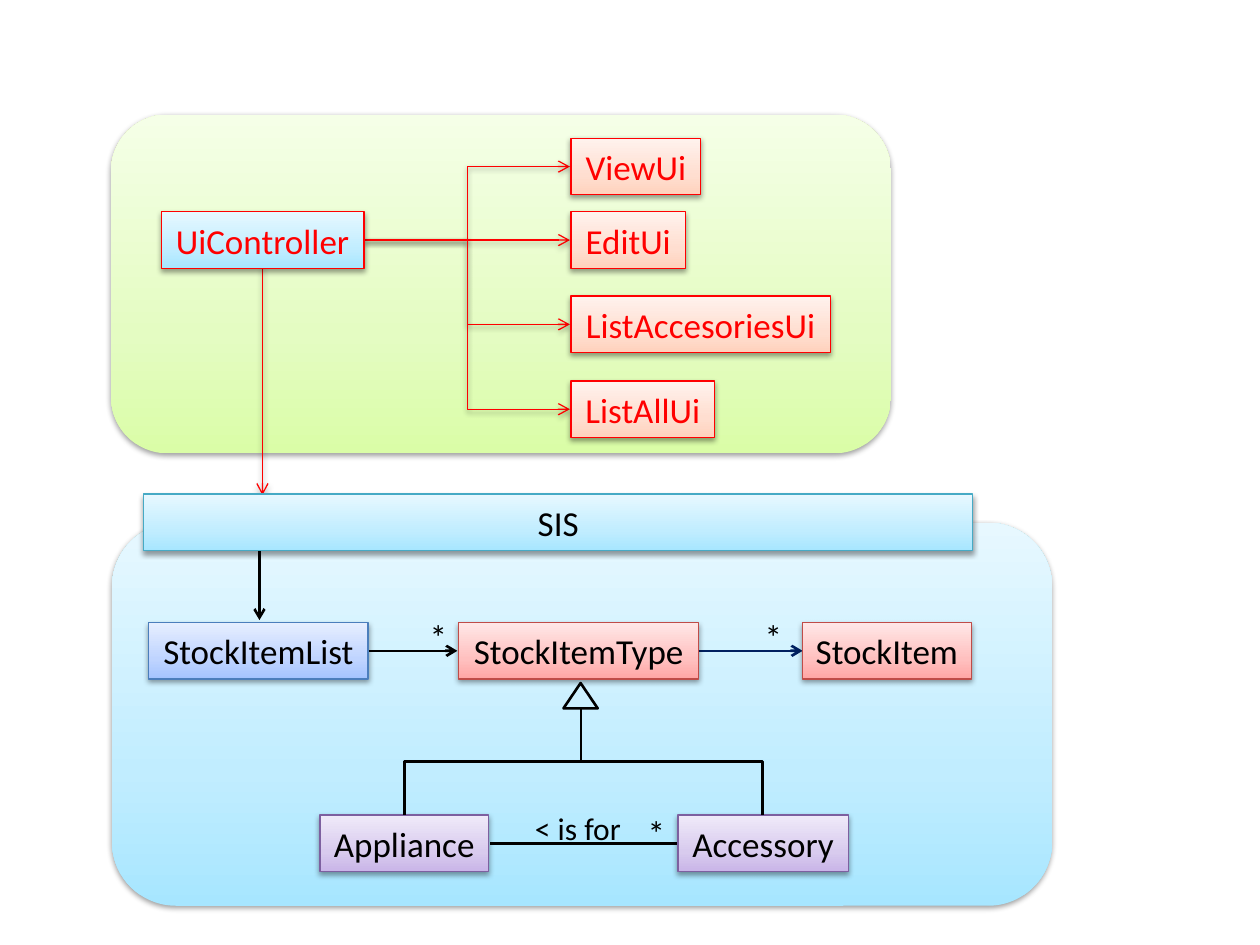
"""Build a class diagram of a user interface layer above a stock item system."""
from copy import deepcopy
from dataclasses import dataclass

from lxml import etree
from pptx import Presentation
from pptx.dml.color import RGBColor
from pptx.enum.shapes import MSO_CONNECTOR, MSO_SHAPE
from pptx.enum.text import MSO_ANCHOR, MSO_AUTO_SIZE, PP_ALIGN
from pptx.oxml.ns import qn
from pptx.util import Cm, Pt

RECTANGLE = MSO_SHAPE.RECTANGLE
ROUNDED = MSO_SHAPE.ROUNDED_RECTANGLE
TRIANGLE = MSO_SHAPE.ISOSCELES_TRIANGLE
STRAIGHT = MSO_CONNECTOR.STRAIGHT
ELBOW = MSO_CONNECTOR.ELBOW
COLORS = {"black": "000000", "red": "FF0000", "navy": "002060", "teal": "46AAC5",
          "brick": "BF4C48", "violet": "7D60A0", "blue": "4B7EBC"}
GRADIENTS = {
    "green": ("DAFDA7", "E4FCC2", "F5FFE7"),
    "aqua": ("A7E6FF", "C1EDFF", "E7F8FF"),
    "orange": ("FFD2BD", "FFDED0", "FFF2ED"),
    "pink": ("FFA6A5", "FFC0BF", "FFE7E7"),
    "lilac": ("C9B5E8", "D8CBEE", "F0EAF9"),
    "sky": ("A4C4FF", "BFD4FF", "E6EEFF"),
}
STOPS = (0, 0.35, 1)
FRAME_FORMAT = {"word_wrap": False, "auto_size": MSO_AUTO_SIZE.NONE,
                "vertical_anchor": MSO_ANCHOR.MIDDLE}
BOX_HEIGHT = 1.14
HALF = BOX_HEIGHT / 2
UI_LEFT, CONTROLLER_TOP, STOCK_TOP, ITEM_TOP = 11.51, 4.27, 12.55, 16.43
CONTROLLER_RIGHT = 7.36
STOCK_MIDDLE, ITEM_MIDDLE = STOCK_TOP + HALF, ITEM_TOP + HALF
FORK = (11.71, 14.27)


@dataclass
class Box:
    """A gradient box, with a caption and outline where given."""
    left: float
    top: float
    width: float
    gradient: str
    text: str = ""
    line: str = ""
    font: str = "black"
    height: float = BOX_HEIGHT
    kind: int = RECTANGLE


@dataclass
class Link:
    """A connector between two points."""
    begin: tuple[float, float]
    end: tuple[float, float]
    color: str = "black"
    weight: float = 1.5
    kind: int = STRAIGHT
    arrow: bool = True
    shadow: bool = False


@dataclass
class Label:
    """A free caption."""
    left: float
    top: float
    width: float
    height: float
    text: str
    size: int = 20


PANELS = [Box(2.24, 2.31, 15.72, "green", height=6.83, kind=ROUNDED),
          Box(2.26, 10.54, 18.95, "aqua", height=7.72, kind=ROUNDED)]
VIEWS = [Box(UI_LEFT, top, width, "orange", text, "red", "red") for text, top, width in (
    ("ViewUi", 2.79, 2.62), ("EditUi", CONTROLLER_TOP, 2.31),
    ("ListAccesoriesUi", 5.97, 5.23), ("ListAllUi", 7.68, 2.9))]
BOXES = VIEWS + [
    Box(3.25, CONTROLLER_TOP, 4.09, "aqua", "UiController", "red", "red"),
    Box(2.9, 9.96, 16.71, "aqua", "SIS", "teal"),
    Box(3, STOCK_TOP, 4.42, "sky", "StockItemList", "blue"),
    Box(9.25, STOCK_TOP, 4.83, "pink", "StockItemType", "brick"),
    Box(16.18, STOCK_TOP, 3.4, "pink", "StockItem", "brick"),
    Box(6.45, ITEM_TOP, 3.4, "lilac", "Appliance", "violet"),
    Box(13.67, ITEM_TOP, 3.43, "lilac", "Accessory", "violet"),
]
LINKS = [Link((CONTROLLER_RIGHT, CONTROLLER_TOP + HALF), (UI_LEFT - 0.02, view.top + HALF),
              "red", 0.75, STRAIGHT if view.top == CONTROLLER_TOP else ELBOW, shadow=True)
         for view in VIEWS] + [
    Link((5.29, 5.34), (5.29, 9.98), "red", 0.75, shadow=True),
    Link((5.23, 11.02), (5.23, 12.5)),
    Link((7.44, STOCK_MIDDLE), (9.22, STOCK_MIDDLE)),
    Link((14.07, STOCK_MIDDLE), (16.18, STOCK_MIDDLE), "navy"),
    Link((9.88, ITEM_MIDDLE), (13.64, ITEM_MIDDLE), arrow=False),
]
LABELS = [Label(8.41, 12.29, 0.86, 1.09, "*"), Label(15.16, 12.29, 0.86, 1.09, "*"),
          Label(12.8, 16.23, 0.86, 1.09, "*"), Label(10.52, 16.18, 2.26, 1.02, "< is for", 18)]


def rgb(name: str) -> RGBColor:
    """Return the named colour."""
    return RGBColor.from_string(COLORS[name])


def apply(target, values: dict) -> None:
    """Set each attribute in values on the target."""
    for name, value in values.items():
        setattr(target, name, value)


def add_shadow(effects) -> None:
    """Put a soft downward shadow into an effect list."""
    outer = etree.SubElement(effects, qn("a:outerShdw"), blurRad="40000", dist="20000",
                             dir="5400000", rotWithShape="0")
    color = etree.SubElement(outer, qn("a:srgbClr"), val=COLORS["black"])
    etree.SubElement(color, qn("a:alpha"), val="38000")


def fill_gradient(shape, name: str) -> None:
    """Fill a shape with a three-stop gradient rising from its bottom edge."""
    shape.fill.gradient()
    shape.fill.gradient_angle = 90
    stop_list = shape._element.spPr.find(qn("a:gradFill")).find(qn("a:gsLst"))
    stop_list.insert(1, deepcopy(stop_list[0]))
    for stop, position, color in zip(shape.fill.gradient_stops, STOPS, GRADIENTS[name]):
        stop.position = position
        stop.color.rgb = RGBColor.from_string(color)


def write_text(shape, text: str, size: int, color: str) -> None:
    """Write one centred line of text."""
    apply(shape.text_frame, FRAME_FORMAT)
    paragraph = shape.text_frame.paragraphs[0]
    paragraph.alignment = PP_ALIGN.CENTER
    run = paragraph.add_run()
    run.text = text
    apply(run.font, {"name": "Calibri", "size": Pt(size)})
    run.font.color.rgb = rgb(color)


def draw_box(slide, box: Box) -> None:
    """Draw a shaded box."""
    shape = slide.shapes.add_shape(box.kind, Cm(box.left), Cm(box.top),
                                   Cm(box.width), Cm(box.height))
    fill_gradient(shape, box.gradient)
    if box.line:
        shape.line.color.rgb = rgb(box.line)
        shape.line.width = Pt(0.75)
    else:
        shape.line.fill.background()
    shape.shadow.inherit = False
    add_shadow(shape._element.spPr.find(qn("a:effectLst")))
    if box.text:
        write_text(shape, box.text, 20, box.font)


def draw_link(slide, link: Link):
    """Draw a connector and return it."""
    connector = slide.shapes.add_connector(
        link.kind, *(Cm(value) for value in link.begin + link.end))
    connector.line.color.rgb = rgb(link.color)
    connector.line.width = Pt(link.weight)
    properties = connector._element.spPr
    if link.arrow:
        etree.SubElement(properties.find(qn("a:ln")), qn("a:tailEnd"), type="arrow")
    effects = etree.SubElement(properties, qn("a:effectLst"))
    if link.shadow:
        add_shadow(effects)
    return connector


def draw_branch(slide, begin: tuple[float, float], end: tuple[float, float]) -> None:
    """Draw an elbow that leaves and arrives vertically, as a turned connector."""
    (left, top), (right, bottom) = begin, end
    middle_x, middle_y = (left + right) / 2, (top + bottom) / 2
    side = 1 if right > left else -1
    reach, drop = side * (bottom - top) / 2, abs(right - left) / 2
    connector = draw_link(slide, Link((middle_x + reach, middle_y - drop),
                                      (middle_x - reach, middle_y + drop),
                                      kind=ELBOW, arrow=False))
    angle = 270 if side > 0 else 90
    connector._element.spPr.find(qn("a:xfrm")).set("rot", str(angle * 60000))


def draw_label(slide, label: Label) -> None:
    """Draw a free caption."""
    shape = slide.shapes.add_textbox(Cm(label.left), Cm(label.top),
                                     Cm(label.width), Cm(label.height))
    write_text(shape, label.text, label.size, "black")


def main() -> None:
    """Build and save the slide."""
    presentation = Presentation()
    apply(presentation, {"slide_width": Cm(25.4), "slide_height": Cm(19.05)})
    slide = presentation.slides.add_slide(presentation.slide_layouts[6])
    for panel in PANELS:
        draw_box(slide, panel)
    for link in LINKS:
        draw_link(slide, link)
    for box in BOXES:
        draw_box(slide, box)
    triangle = slide.shapes.add_shape(TRIANGLE, Cm(11.36), Cm(13.77), Cm(0.69), Cm(0.51))
    triangle.fill.background()
    triangle.line.color.rgb = rgb("black")
    triangle.line.width = Pt(1.5)
    triangle.shadow.inherit = False
    for end_x in (8.15, 15.37):
        draw_branch(slide, FORK, (end_x, ITEM_TOP))
    for label in LABELS:
        draw_label(slide, label)
    presentation.save("out.pptx")


if __name__ == "__main__":
    main()
